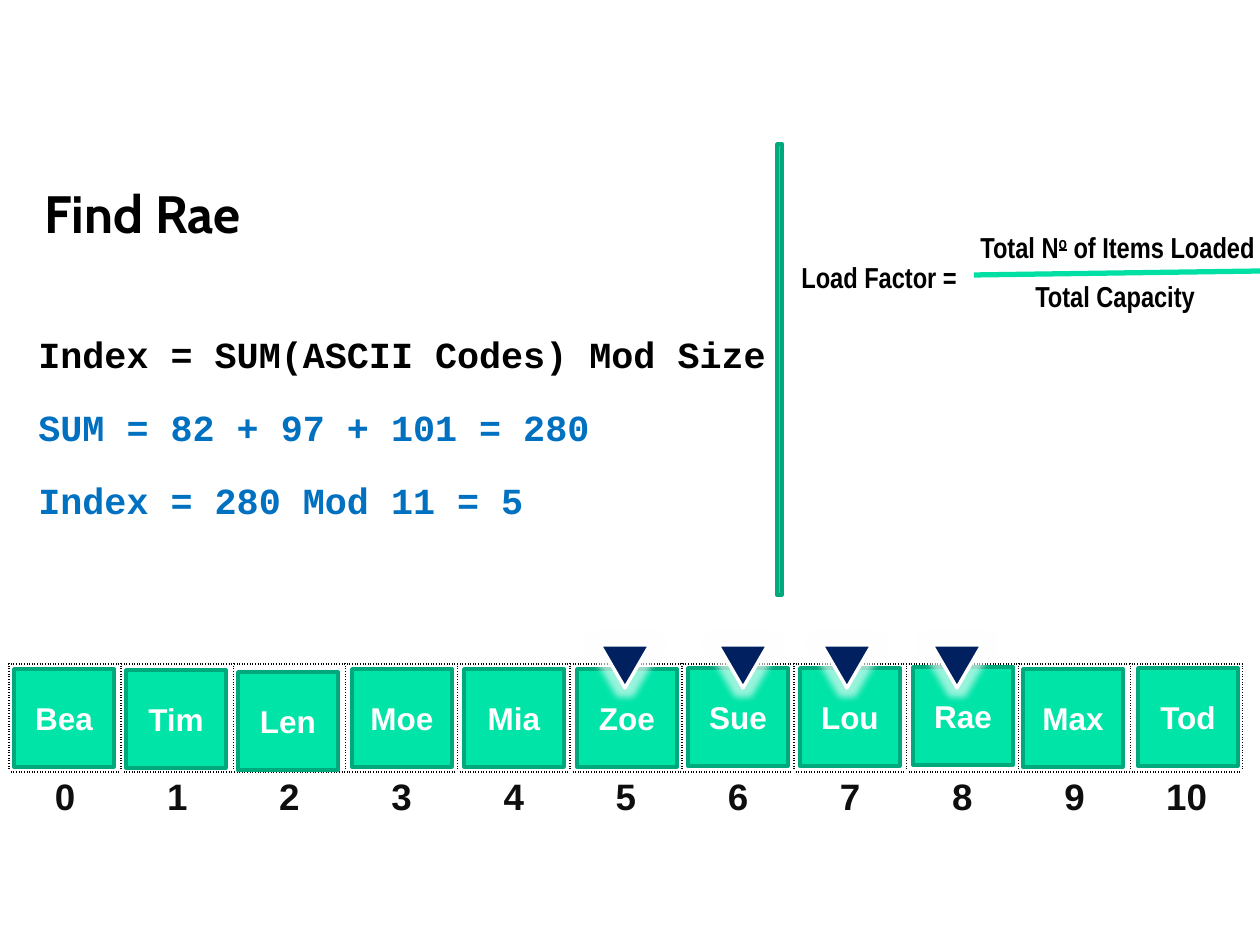
import pptx
import pptx.dml.color
import pptx.enum.dml
import pptx.enum.shapes
import pptx.enum.text
import pptx.oxml
import pptx.oxml.ns
import pptx.util

RGBColor = pptx.dml.color.RGBColor
BLACK = RGBColor(0x00, 0x00, 0x00)
INK = RGBColor(0x0E, 0x0E, 0x0E)
WHITE = RGBColor(0xFF, 0xFF, 0xFF)
BLUE = RGBColor(0x00, 0x70, 0xC0)
NAVY = RGBColor(0x00, 0x20, 0x60)
MINT = RGBColor(0x00, 0xE4, 0xA8)
GREEN = RGBColor(0x00, 0xA9, 0x7C)
FRACTION_GREEN = RGBColor(0x00, 0xDF, 0xA4)

PX_PER_INCH = 126
NAMES = [
    ("Bea", 5, 5), ("Tim", 117, 6), ("Len", 229, 8), ("Moe", 343, 5),
    ("Mia", 455, 5), ("Zoe", 568, 5), ("Sue", 679, 4), ("Lou", 791, 4),
    ("Rae", 904, 3), ("Max", 1014, 5), ("Tod", 1129, 4),
]
MARKER_OFFSETS = [591, 709, 813, 923]
CALCULATION = [
    ("Index = SUM(ASCII Codes) Mod Size", BLACK),
    ("SUM = 82 + 97 + 101 = 280", BLUE),
    ("Index = 280 Mod 11 = 5", BLUE),
]


def px(*lengths):
    """Turn pixel lengths into a list of EMU lengths."""
    return [pptx.util.Emu(round(length * 914400 / PX_PER_INCH)) for length in lengths]


def add_run(paragraph, text, font_name, size, color):
    """Add one bold run and return it."""
    run = paragraph.add_run()
    run.text = text
    run.font.name = font_name
    run.font.size = pptx.util.Pt(size)
    run.font.bold = True
    run.font.color.rgb = color
    return run


def add_text(slide, box, wrap=True):
    """Add a growing text box and return its first paragraph."""
    frame = slide.shapes.add_textbox(*px(*box)).text_frame
    frame.word_wrap = wrap
    frame.auto_size = pptx.enum.text.MSO_AUTO_SIZE.SHAPE_TO_FIT_TEXT
    return frame.paragraphs[0]


def add_filled(slide, kind, box, fill, line):
    """Add a flat preset shape with a two-point outline."""
    shape = slide.shapes.add_shape(kind, *px(*box))
    shape.shadow.inherit = False
    shape.fill.solid()
    shape.fill.fore_color.rgb = fill
    shape.line.color.rgb = line
    shape.line.width = pptx.util.Pt(2)
    return shape


def place_title(slide, box):
    """Move and format the title placeholder."""
    title = slide.shapes.title
    title.left, title.top, title.width, title.height = px(*box)
    frame = title.text_frame
    frame.word_wrap = True
    frame.auto_size = pptx.enum.text.MSO_AUTO_SIZE.SHAPE_TO_FIT_TEXT
    frame.vertical_anchor = pptx.enum.text.MSO_ANCHOR.TOP
    paragraph = frame.paragraphs[0]
    paragraph.alignment = pptx.enum.text.PP_ALIGN.LEFT
    add_run(paragraph, "Find Rae", "Cabin", 30, BLACK)


def set_borders(cell, styles):
    """Set left, right, top and bottom borders from (color, dash) pairs."""
    properties = cell._tc.get_or_add_tcPr()
    for index, (side, (color, dash)) in enumerate(zip("LRTB", styles)):
        border = pptx.oxml.parse_xml(
            f'<a:ln{side} {pptx.oxml.ns.nsdecls("a")} w="12700"><a:solidFill>'
            f'<a:srgbClr val="{color}"/></a:solidFill><a:prstDash val="{dash}"/></a:ln{side}>'
        )
        properties.insert(index, border)


def add_slot_table(slide, box):
    """Add the dotted slots with their index numbers below."""
    table = slide.shapes.add_table(2, len(NAMES), *px(*box)).table
    table.first_row = table.horz_banding = False
    table.rows[0].height, table.rows[1].height = px(108, 53)
    dotted, plain = (BLACK, "sysDot"), (WHITE, "solid")
    for column in range(len(NAMES)):
        for row, styles in enumerate([[dotted] * 4, [plain, plain, dotted, plain]]):
            cell = table.cell(row, column)
            cell.fill.background()
            cell.margin_left, cell.margin_right, cell.margin_top, cell.margin_bottom = px(9, 9, 5, 5)
            set_borders(cell, styles)
        paragraph = table.cell(1, column).text_frame.paragraphs[0]
        paragraph.alignment = pptx.enum.text.PP_ALIGN.CENTER
        add_run(paragraph, str(column), "Arial", 21, INK)


def add_marker(slide, box):
    """Add a glowing triangle that points down."""
    marker = add_filled(slide, pptx.enum.shapes.MSO_SHAPE.ISOSCELES_TRIANGLE, box, NAVY, WHITE)
    properties = marker.element.spPr
    properties.find(pptx.oxml.ns.qn("a:xfrm")).set("flipV", "1")
    glow = pptx.oxml.parse_xml(
        f'<a:glow {pptx.oxml.ns.nsdecls("a")} rad="101600"><a:srgbClr val="{WHITE}">'
        '<a:alpha val="60000"/></a:srgbClr></a:glow>'
    )
    properties.find(pptx.oxml.ns.qn("a:effectLst")).append(glow)


def add_hash_table(slide, box):
    """Add the slots, the stored names and the probe markers."""
    left, top = box[:2]
    add_slot_table(slide, box)
    for name, x, y in NAMES:
        tile = add_filled(slide, pptx.enum.shapes.MSO_SHAPE.RECTANGLE,
                          (left + x, top + y, 100, 98), MINT, GREEN)
        frame = tile.text_frame
        frame.vertical_anchor = pptx.enum.text.MSO_ANCHOR.MIDDLE
        paragraph = frame.paragraphs[0]
        paragraph.alignment = pptx.enum.text.PP_ALIGN.CENTER
        add_run(paragraph, name, "Arial", 18, WHITE)
    for x in MARKER_OFFSETS:
        add_marker(slide, (left + x, top - 19, 50, 43))


def add_calculation(slide, box):
    """Add the evenly spaced lines of the index calculation."""
    left, top, width, height = box
    pitch = height // len(CALCULATION)
    for index, (text, color) in enumerate(CALCULATION):
        paragraph = add_text(slide, (left, top + index * pitch, width, 57))
        add_run(paragraph, text, "Courier New", 21, color)


def add_load_factor(slide, box):
    """Add the load factor formula with its fraction line."""
    left, top, width, height = box
    style = ("Arial Narrow", 16.5, BLACK)
    add_run(add_text(slide, (left, top + 30, 185, 48)), "Load Factor =", *style)
    add_run(add_text(slide, (left + 234, top + 49, 186, 48), False), "Total Capacity", *style)
    numerator = add_text(slide, (left + 179, top, 304, 48), False)
    add_run(numerator, "Total N", *style)
    ordinal = add_run(numerator, "o", *style)
    ordinal.font.underline = True
    ordinal.font._element.set("baseline", "30000")
    add_run(numerator, " of Items Loaded", *style)
    line = slide.shapes.add_connector(
        pptx.enum.shapes.MSO_CONNECTOR.STRAIGHT,
        *px(left + 185, top + 52, left + width, top + 48))
    line.line.color.rgb = FRACTION_GREEN
    line.line.width = pptx.util.Pt(3)
    line.element.spPr.append(pptx.oxml.parse_xml(f'<a:effectLst {pptx.oxml.ns.nsdecls("a")}/>'))


def main():
    """Build the slide and save it."""
    presentation = pptx.Presentation()
    presentation.slide_width, presentation.slide_height = px(1260, 945)
    slide = presentation.slides.add_slide(presentation.slide_layouts[5])
    place_title(slide, (32, 175, 353, 77))
    add_hash_table(slide, (9, 664, 1234, 161))
    add_calculation(slide, (26, 326, 762, 219))
    add_filled(slide, pptx.enum.shapes.MSO_SHAPE.RECTANGLE, (777, 144, 5, 451), MINT, GREEN)
    add_load_factor(slide, (789, 223, 471, 97))
    presentation.save("out.pptx")


if __name__ == "__main__":
    main()
